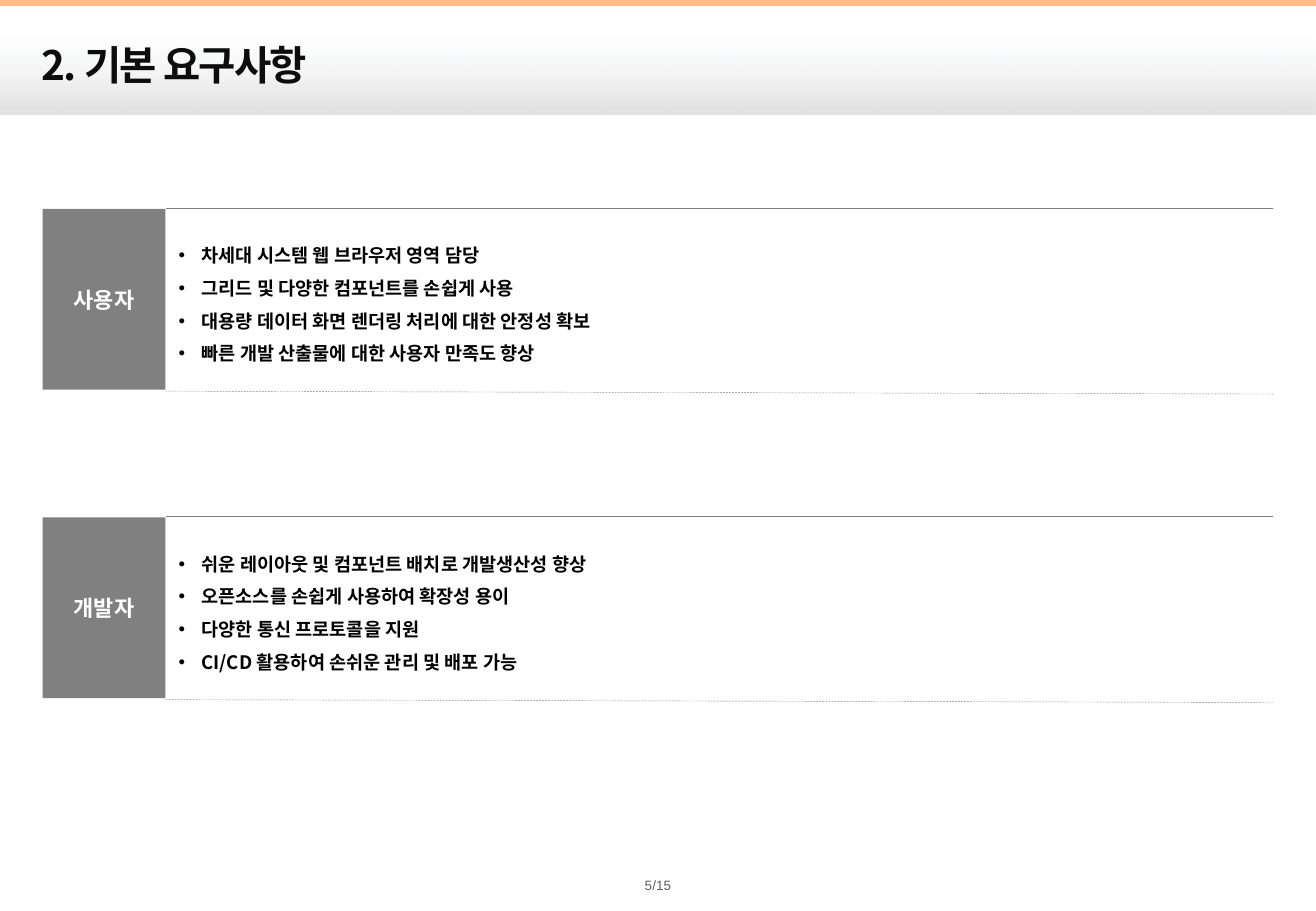
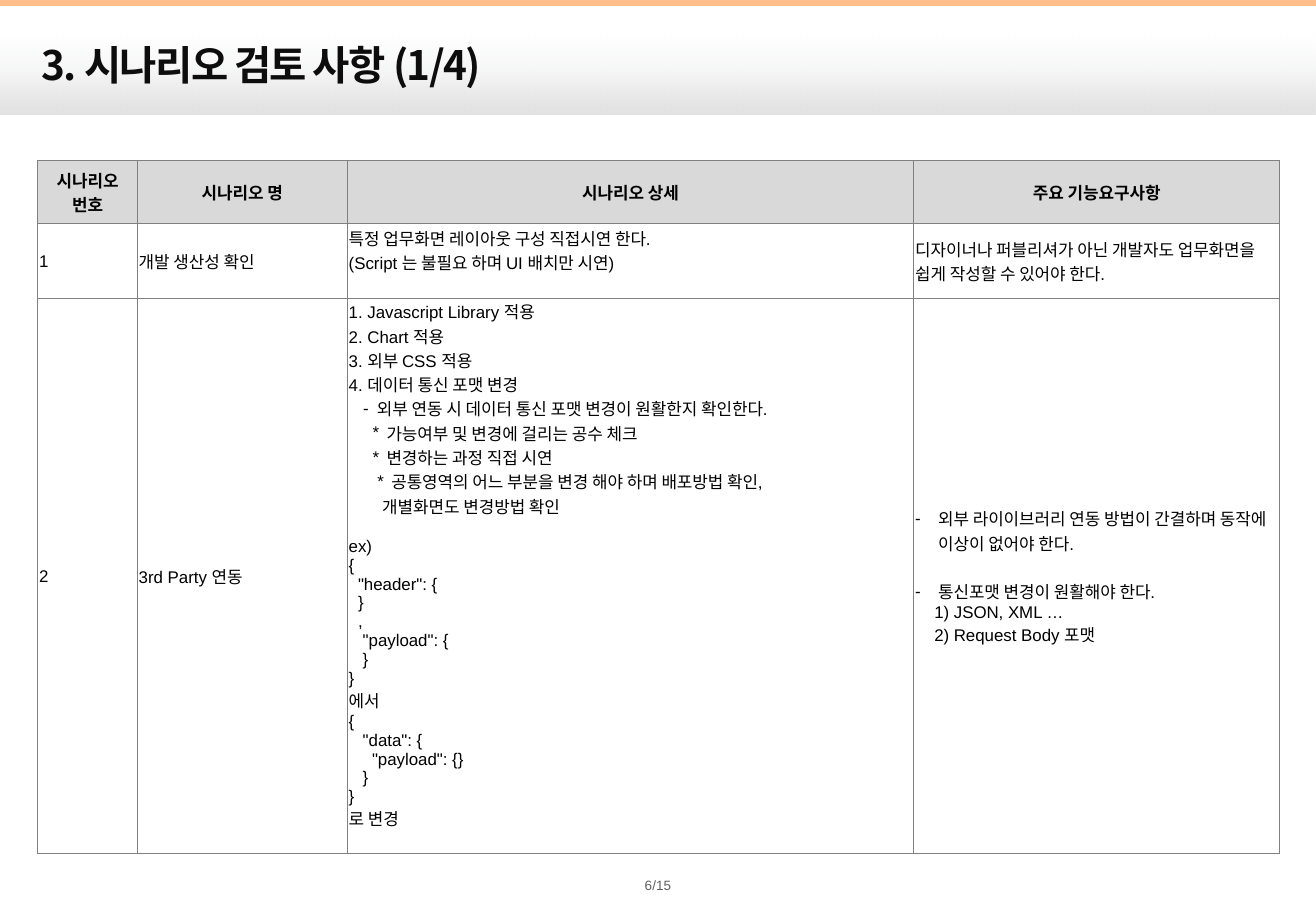
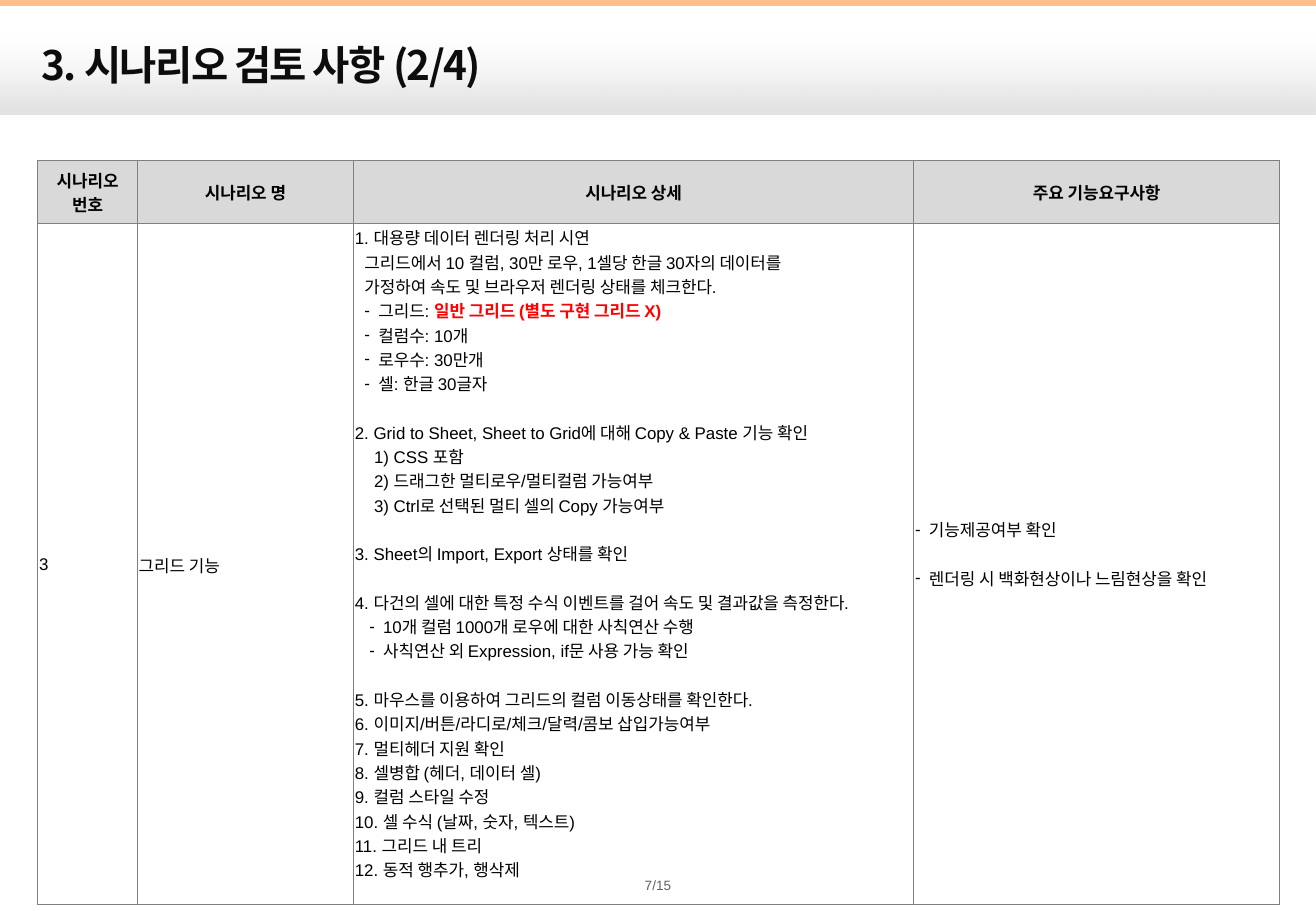
from dataclasses import dataclass
from typing import Any

from lxml import etree
from pptx import Presentation
from pptx.dml.color import RGBColor
from pptx.enum.dml import MSO_LINE
from pptx.enum.shapes import MSO_CONNECTOR, MSO_SHAPE
from pptx.enum.text import MSO_ANCHOR, MSO_AUTO_SIZE, PP_ALIGN
from pptx.oxml import parse_xml
from pptx.oxml.ns import nsdecls, qn
from pptx.util import Cm, Pt

LEFT, CENTER = PP_ALIGN.LEFT, PP_ALIGN.CENTER
MIDDLE = MSO_ANCHOR.MIDDLE
NO_FIT = MSO_AUTO_SIZE.NONE
RECTANGLE, STRAIGHT = MSO_SHAPE.RECTANGLE, MSO_CONNECTOR.STRAIGHT
DASH = MSO_LINE.DASH

# Shared look
SLIDE_WIDTH, SLIDE_HEIGHT = 27.51, 19.05
ORANGE, GRAY, LIGHT_GRAY = "FFBE8A", "808080", "D9D9D9"
BLACK, WHITE, RED = "000000", "FFFFFF", "FF0000"
LATIN_FONT, KOREAN_FONT = "Arial", "Noto Sans CJK KR"
TITLE_FONT = dict(name=KOREAN_FONT, size=Pt(24), bold=True, color="0D0D0D")
PAGE_FONT = dict(name=LATIN_FONT, size=Pt(8), bold=False, color="5F5F5F")
LABEL_FONT = dict(name=KOREAN_FONT, size=Pt(13), bold=True, color=WHITE)
LIST_FONT = dict(name=KOREAN_FONT, size=Pt(11), bold=True, color=BLACK)
HEADER_FONT = dict(name=KOREAN_FONT, size=Pt(10), bold=True, color=BLACK)
CELL_FONT = dict(name=LATIN_FONT, size=Pt(10), bold=False, color=BLACK)
EMPHASIS_FONT = CELL_FONT | dict(bold=True, color=RED)
NO_MARGINS = dict(margin_left=0, margin_top=0, margin_right=0, margin_bottom=0)

# Table rhythm
STEP = 0.1          # one indent step, in cm
HANG = 0.29         # from bullet to text, in cm
WIDE_HANG = 0.48
TAIL = 0.48         # free strip below a text, in cm
KOREAN_GAP, LATIN_GAP = 14.4, 11.4
PAGE_COUNT = 15


@dataclass
class Line:
    text: str
    steps: int = 0
    bullet: str = ""
    gap: float = 0
    hang: float = HANG
    emphasis: str = ""


@dataclass
class Cell:
    lines: list[Line]
    tail: float = 0


@dataclass
class Requirement:
    label: str
    items: list[str]


@dataclass
class Scenario:
    height: float
    cells: list[Cell]


@dataclass
class ScenarioSlide:
    title: str
    page: int
    widths: list[float]
    scenarios: list[Scenario]


def color(value: str) -> RGBColor:
    return RGBColor.from_string(value)


def apply_format(target: Any, values: dict[str, Any]) -> None:
    for name, value in values.items():
        if name == "color":
            target.color.rgb = color(value)
        else:
            setattr(target, name, value)


def add_run(paragraph: Any, text: str, font: dict[str, Any], spacing: int = 0) -> None:
    run = paragraph.add_run()
    run.text = text
    apply_format(run.font, font)
    properties = run._r.get_or_add_rPr()
    if spacing:
        properties.set("spc", str(spacing))
    latin = properties.find(qn("a:latin"))
    east_asian = etree.Element(qn("a:ea"), typeface=KOREAN_FONT)
    latin.addnext(east_asian)


def set_indent(paragraph: Any, indent: float, hang: float, bullet: str) -> None:
    properties = paragraph._p.get_or_add_pPr()
    properties.set("marL", str(Cm(indent + (hang if bullet else 0))))
    properties.set("indent", str(-Cm(hang) if bullet else 0))
    if bullet:
        etree.SubElement(properties, qn("a:buFont"), typeface=LATIN_FONT)
        etree.SubElement(properties, qn("a:buChar"), char=bullet)


def write_lines(frame: Any, lines: list[Line], font: dict[str, Any],
                align: Any = LEFT, line_spacing: float = 1.0) -> None:
    for index, line in enumerate(lines):
        paragraph = frame.paragraphs[0] if index == 0 else frame.add_paragraph()
        set_indent(paragraph, line.steps * STEP, line.hang, line.bullet)
        apply_format(paragraph, dict(alignment=align, line_spacing=line_spacing,
                                     space_before=Pt(line.gap)))
        add_run(paragraph, line.text, font)
        if line.emphasis:
            add_run(paragraph, line.emphasis, EMPHASIS_FONT)


def place(shape: Any, left: float, top: float, width: float, height: float) -> None:
    apply_format(shape, dict(left=Cm(left), top=Cm(top), width=Cm(width), height=Cm(height)))


def add_rectangle(slide: Any, left: float, top: float, width: float, height: float,
                  fill: str) -> Any:
    shape = slide.shapes.add_shape(RECTANGLE, Cm(left), Cm(top), Cm(width), Cm(height))
    shape.shadow.inherit = False
    shape.fill.solid()
    shape.fill.fore_color.rgb = color(fill)
    shape.line.fill.background()
    return shape


def add_line(slide: Any, start: tuple[float, float], end: tuple[float, float],
             stroke: str, width: float, dash: Any = None) -> Any:
    line = slide.shapes.add_connector(STRAIGHT, *(Cm(value) for value in start + end))
    line.line.color.rgb = color(stroke)
    line.line.width = Pt(width)
    if dash is not None:
        line.line.dash_style = dash
    etree.SubElement(line.element.spPr, qn("a:effectLst"))
    return line


def set_gradient(shape: Any, stops: list[tuple[int, str, int]]) -> None:
    """Replace the solid fill by a downward gradient of (position, colour, opacity)."""
    stop_xml = "".join(
        f'<a:gs pos="{position * 1000}"><a:srgbClr val="{value}">'
        f'<a:alpha val="{opacity * 1000}"/></a:srgbClr></a:gs>'
        for position, value, opacity in stops)
    gradient = parse_xml(f'<a:gradFill {nsdecls("a")} rotWithShape="1"><a:gsLst>{stop_xml}'
                         '</a:gsLst><a:lin ang="5400000" scaled="0"/></a:gradFill>')
    properties = shape.element.spPr
    properties.replace(properties.find(qn("a:solidFill")), gradient)


def move_to_master(presentation: Any, slide: Any) -> None:
    """Draw the title band and top rule, and keep them in the slide master."""
    band = add_rectangle(slide, 0, 0.66, SLIDE_WIDTH, 1.73, LIGHT_GRAY)
    set_gradient(band, [(0, "F6F9FC", 3), (74, LIGHT_GRAY, 55), (93, LIGHT_GRAY, 74)])
    rule = add_line(slide, (-0.03, 0.05), (SLIDE_WIDTH + 0.05, 0.05), ORANGE, 3.75)
    tree = presentation.slide_master.shapes.element
    for index, shape in enumerate((band, rule)):
        shape.element.xpath(".//p:cNvPr")[0].set("id", str(100 + index))
        tree.insert(2 + index, shape.element)


def add_slide(presentation: Any, layout: int, title: str, page: int) -> Any:
    slide = presentation.slides.add_slide(presentation.slide_layouts[layout])
    # Title
    shape = slide.shapes.title
    place(shape, 0.61, 0.71, 24.59, 1.27)
    apply_format(shape.text_frame, dict(auto_size=NO_FIT, vertical_anchor=MIDDLE, word_wrap=True))
    paragraph = shape.text_frame.paragraphs[0]
    paragraph.alignment = LEFT
    add_run(paragraph, title, TITLE_FONT, spacing=-100)
    # Page number
    box = slide.shapes.add_textbox(Cm(13.36), Cm(18.34), Cm(0.79), Cm(0.33))
    apply_format(box.text_frame, NO_MARGINS | dict(word_wrap=False, vertical_anchor=MIDDLE))
    write_lines(box.text_frame, [Line(f"{page}/{PAGE_COUNT}")], PAGE_FONT, CENTER)
    return slide


def add_requirement(slide: Any, requirement: Requirement, body: Any, top: float) -> None:
    left, width, height, right = 0.89, 2.57, 3.78, 26.62
    edge = left + width
    label = add_rectangle(slide, left, top, width, height, GRAY)
    apply_format(label.text_frame, NO_MARGINS | dict(vertical_anchor=MIDDLE))
    write_lines(label.text_frame, [Line(requirement.label)], LABEL_FONT, CENTER)
    # List in the body placeholder
    place(body, edge + 0.02, top + 0.05, 22.58, height)
    apply_format(body.text_frame, dict(auto_size=NO_FIT, vertical_anchor=MIDDLE, word_wrap=True))
    lines = [Line(item, bullet="•", hang=WIDE_HANG, gap=3 if index else 0)
             for index, item in enumerate(requirement.items)]
    write_lines(body.text_frame, lines, LIST_FONT, line_spacing=1.24)
    # Rules above and below
    bottom = top + height
    add_line(slide, (edge, top - 0.02), (right, top - 0.02), GRAY, 0.25)
    add_line(slide, (edge, bottom + 0.03), (right, bottom + 0.09), GRAY, 0.25, DASH)


def format_cell(cell: Any, fill: str = "") -> None:
    properties = cell._tc.get_or_add_tcPr()
    for side in ("lnL", "lnR", "lnT", "lnB"):
        properties.append(parse_xml(
            f'<a:{side} {nsdecls("a")} w="{Pt(0.5)}"><a:solidFill><a:srgbClr val="{GRAY}"/>'
            f'</a:solidFill></a:{side}>'))
    if fill:
        cell.fill.solid()
        cell.fill.fore_color.rgb = color(fill)
    else:
        cell.fill.background()
    cell.vertical_anchor = MIDDLE


def add_scenario_table(slide: Any, content: ScenarioSlide) -> None:
    heights = [1.32] + [scenario.height for scenario in content.scenarios]
    table = slide.shapes.add_table(
        len(heights), len(content.widths), Cm(0.79), Cm(3.36),
        Cm(sum(content.widths)), Cm(sum(heights))).table
    apply_format(table, dict(first_row=False, horz_banding=False))
    for column, width in zip(table.columns, content.widths):
        column.width = Cm(width)
    for row, height in zip(table.rows, heights):
        row.height = Cm(height)
    for cell, lines in zip(table.rows[0].cells, HEADERS):
        format_cell(cell, LIGHT_GRAY)
        write_lines(cell.text_frame, [Line(text) for text in lines], HEADER_FONT, CENTER)
    for row, scenario in zip(list(table.rows)[1:], content.scenarios):
        for cell, cell_content in zip(row.cells, scenario.cells):
            format_cell(cell)
            apply_format(cell, dict(margin_left=Cm(0.03), margin_top=Cm(0.03),
                                    margin_right=Cm(0.03), margin_bottom=Cm(cell_content.tail)))
            write_lines(cell.text_frame, cell_content.lines, CELL_FONT)


# Content
REQUIREMENTS = [
    Requirement("사용자", [
        "차세대 시스템 웹 브라우저 영역 담당",
        "그리드 및 다양한 컴포넌트를 손쉽게 사용",
        "대용량 데이터 화면 렌더링 처리에 대한 안정성 확보",
        "빠른 개발 산출물에 대한 사용자 만족도 향상",
    ]),
    Requirement("개발자", [
        "쉬운 레이아웃 및 컴포넌트 배치로 개발생산성 향상",
        "오픈소스를 손쉽게 사용하여 확장성 용이",
        "다양한 통신 프로토콜을 지원",
        "CI/CD 활용하여 손쉬운 관리 및 배포 가능",
    ]),
]

HEADERS = [["시나리오", "번호"], ["시나리오 명"], ["시나리오 상세"], ["주요 기능요구사항"]]

MESSAGE_CODE = """{
  "header": {
  }
  ,
   "payload": {
   }
}
에서
{
   "data": {
     "payload": {}
   }
}
로 변경"""

PRODUCTIVITY = Scenario(1.55, [
    Cell([Line("1")]),
    Cell([Line("개발 생산성 확인")]),
    Cell([Line("특정 업무화면 레이아웃 구성 직접시연 한다."),
          Line("(Script 는 불필요 하며 UI 배치만 시연)")], TAIL),
    Cell([Line("디자이너나 퍼블리셔가 아닌 개발자도 업무화면을 쉽게 작성할 수 있어야 한다.")]),
])

THIRD_PARTY = Scenario(11.62, [
    Cell([Line("2")]),
    Cell([Line("3rd Party 연동")]),
    Cell([
        Line("1. Javascript Library 적용"),
        Line("2. Chart 적용"),
        Line("3. 외부 CSS 적용"),
        Line("4. 데이터 통신 포맷 변경"),
        Line("외부 연동 시 데이터 통신 포맷 변경이 원활한지 확인한다.", 3, "-"),
        Line("가능여부 및 변경에 걸리는 공수 체크", 5, "*"),
        Line("변경하는 과정 직접 시연", 5, "*"),
        Line("공통영역의 어느 부분을 변경 해야 하며 배포방법 확인,", 6, "*"),
        Line("개별화면도 변경방법 확인", 7),
        Line("ex)", gap=LATIN_GAP),
        *(Line(code) for code in MESSAGE_CODE.splitlines()),
    ], TAIL),
    Cell([
        Line("외부 라이이브러리 연동 방법이 간결하며 동작에 이상이 없어야 한다.",
             bullet="-", hang=WIDE_HANG),
        Line("통신포맷 변경이 원활해야 한다.", bullet="-", hang=WIDE_HANG, gap=KOREAN_GAP),
        Line("1) JSON, XML …", 4),
        Line("2) Request Body 포맷", 4),
    ]),
])

GRID = Scenario(14.24, [
    Cell([Line("3")]),
    Cell([Line("그리드 기능")]),
    Cell([
        Line("1. 대용량 데이터 렌더링 처리 시연"),
        Line("그리드에서 10 컬럼, 30만 로우, 1셀당 한글 30자의 데이터를", 2),
        Line("가정하여 속도 및 브라우저 렌더링 상태를 체크한다.", 2),
        Line("그리드: ", 2, "-", emphasis="일반 그리드 (별도 구현 그리드 X)"),
        Line("컬럼수: 10개", 2, "-"),
        Line("로우수: 30만개", 2, "-"),
        Line("셀: 한글 30글자", 2, "-"),
        Line("2. Grid to Sheet, Sheet to Grid에 대해 Copy & Paste 기능 확인", gap=KOREAN_GAP),
        Line("1) CSS 포함", 4),
        Line("2) 드래그한 멀티로우/멀티컬럼 가능여부", 4),
        Line("3) Ctrl로 선택된 멀티 셀의 Copy 가능여부", 4),
        Line("3. Sheet의 Import, Export 상태를 확인", gap=KOREAN_GAP),
        Line("4. 다건의 셀에 대한 특정 수식 이벤트를 걸어 속도 및 결과값을 측정한다.", gap=KOREAN_GAP),
        Line("10개 컬럼 1000개 로우에 대한 사칙연산 수행", 3, "-"),
        Line("사칙연산 외 Expression, if문 사용 가능 확인", 3, "-"),
        Line("5. 마우스를 이용하여 그리드의 컬럼 이동상태를 확인한다.", gap=KOREAN_GAP),
        Line("6. 이미지/버튼/라디로/체크/달력/콤보 삽입가능여부"),
        Line("7. 멀티헤더 지원 확인"),
        Line("8. 셀병합 (헤더, 데이터 셀)"),
        Line("9. 컬럼 스타일 수정"),
        Line("10. 셀 수식 (날짜, 숫자, 텍스트)"),
        Line("11. 그리드 내 트리"),
        Line("12. 동적 행추가, 행삭제"),
    ], TAIL),
    Cell([
        Line("기능제공여부 확인", bullet="-"),
        Line("렌더링 시 백화현상이나 느림현상을 확인", bullet="-", gap=KOREAN_GAP),
    ], TAIL),
])

SCENARIO_SLIDES = [
    ScenarioSlide("3. 시나리오 검토 사항 (1/4)", 6, [2.08, 4.39, 11.84, 7.65],
                  [PRODUCTIVITY, THIRD_PARTY]),
    ScenarioSlide("3. 시나리오 검토 사항 (2/4)", 7, [2.08, 4.52, 11.71, 7.65], [GRID]),
]


def main() -> None:
    presentation = Presentation()
    presentation.slide_width, presentation.slide_height = Cm(SLIDE_WIDTH), Cm(SLIDE_HEIGHT)

    # Basic requirements
    slide = add_slide(presentation, 3, "2. 기본 요구사항", 5)
    move_to_master(presentation, slide)
    for index, requirement in enumerate(REQUIREMENTS):
        add_requirement(slide, requirement, slide.placeholders[index + 1], 4.37 + 6.45 * index)

    # Scenario tables
    for content in SCENARIO_SLIDES:
        slide = add_slide(presentation, 5, content.title, content.page)
        add_scenario_table(slide, content)

    presentation.save("out.pptx")


if __name__ == "__main__":
    main()
